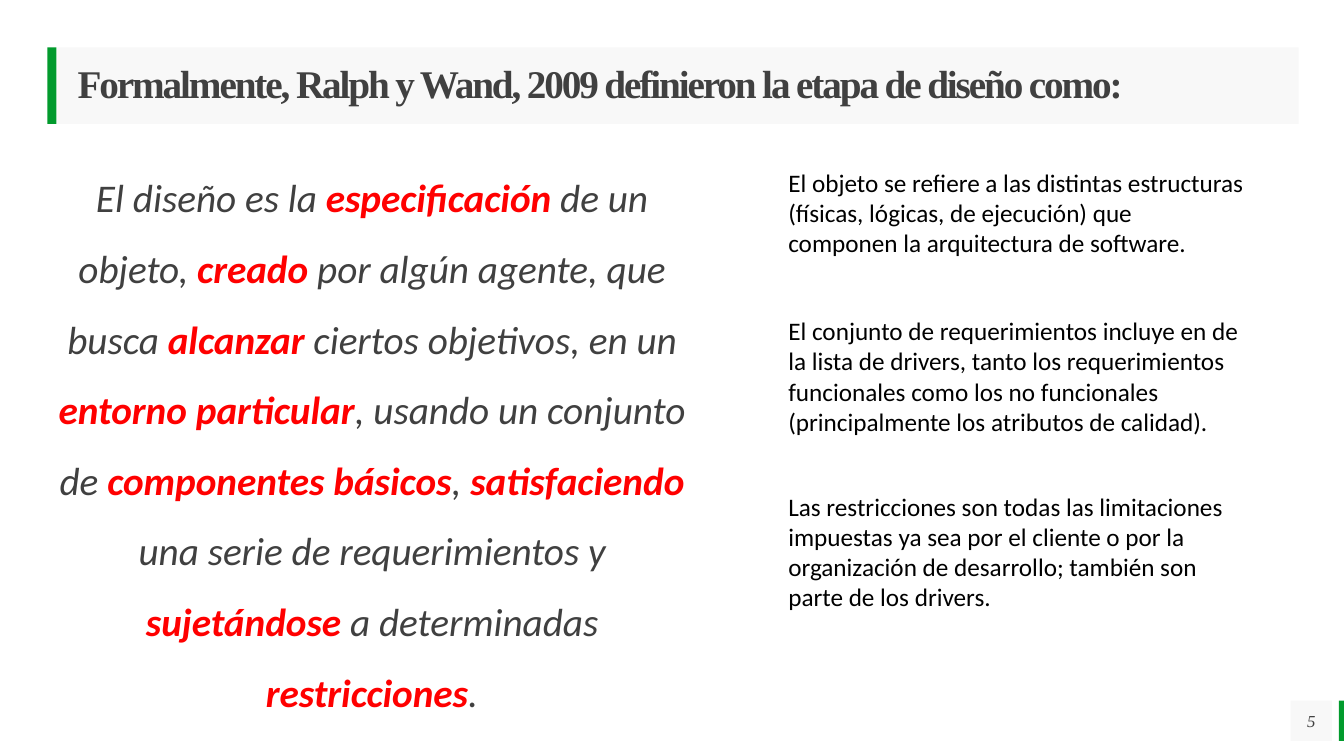
from lxml import etree
from pptx import Presentation
from pptx.dml.color import RGBColor
from pptx.enum.shapes import MSO_SHAPE
from pptx.enum.text import MSO_ANCHOR, PP_ALIGN
from pptx.oxml.ns import qn
from pptx.util import Inches, Pt

GREEN = RGBColor(0x02, 0x9B, 0x2D)
PALE_GRAY = RGBColor(0xF2, 0xF2, 0xF2)
DARK_GRAY = RGBColor(0x40, 0x40, 0x40)
RED = RGBColor(0xFF, 0x00, 0x00)
BLACK = RGBColor(0x00, 0x00, 0x00)

presentation = Presentation()
presentation.slide_width = Inches(13.33)
presentation.slide_height = Inches(7.5)
slide = presentation.slides.add_slide(presentation.slide_layouts[6])


def add_rectangle(left, top, width, height, color, opacity=100):
    shape = slide.shapes.add_shape(
        MSO_SHAPE.RECTANGLE, Inches(left), Inches(top), Inches(width), Inches(height))
    shape.shadow.inherit = False
    shape.line.fill.background()
    shape.fill.solid()
    shape.fill.fore_color.rgb = color
    if opacity < 100:
        color_element = shape.fill._xPr.find(qn("a:solidFill"))[0]
        etree.SubElement(color_element, qn("a:alpha"), val=str(opacity * 1000))
    text_frame = shape.text_frame
    text_frame.word_wrap = True
    text_frame.vertical_anchor = MSO_ANCHOR.MIDDLE
    text_frame.margin_left = text_frame.margin_right = 0
    text_frame.margin_top = text_frame.margin_bottom = 0
    return shape


def style_font(font, name, size, color, bold=False, italic=False):
    font.name = name
    font.size = Pt(size)
    font.color.rgb = color
    font.bold = bold
    font.italic = italic


# Green accents
add_rectangle(13.28, 6.95, 0.05, 0.4, GREEN)
add_rectangle(0.47, 0.47, 0.09, 0.76, GREEN)

# Title bar
title = add_rectangle(0.57, 0.47, 12.31, 0.76, PALE_GRAY, 50)
title.text_frame.margin_left = Inches(0.2)
title.text_frame.text = "Formalmente, Ralph y Wand, 2009 definieron la etapa de diseño como:"
paragraph = title.text_frame.paragraphs[0]
paragraph.alignment = PP_ALIGN.LEFT
paragraph.line_spacing = 0.9
title_font = paragraph.runs[0].font
style_font(title_font, "Times New Roman", 28, DARK_GRAY, bold=True)
title_font._element.set("spc", "-150")

# Definition, with every second piece highlighted
definition_pieces = [
    "El diseño es la ", "especiﬁcación", " de un objeto, ", "creado",
    " por algún agente, que busca ", "alcanzar", " ciertos objetivos, en un ",
    "entorno particular", ", usando un conjunto de ", "componentes básicos", ", ",
    "satisfaciendo", " una serie de requerimientos y ", "sujetándose",
    " a determinadas ", "restricciones", ".",
]
definition = slide.shapes.add_textbox(Inches(0.47), Inches(1.49), Inches(6.44), Inches(5.2))
text_frame = definition.text_frame
text_frame.word_wrap = True
text_frame.margin_left = text_frame.margin_right = 0
text_frame.margin_top = text_frame.margin_bottom = 0
paragraph = text_frame.paragraphs[0]
paragraph.alignment = PP_ALIGN.CENTER
paragraph.line_spacing = 1.5
for index, piece in enumerate(definition_pieces):
    highlighted = index % 2 == 1
    run = paragraph.add_run()
    run.text = piece
    style_font(run.font, "Calibri", 28, RED if highlighted else DARK_GRAY,
               bold=highlighted, italic=True)

# Page number
page_number = add_rectangle(12.8, 6.95, 0.41, 0.4, PALE_GRAY, 50)
page_number.text_frame.text = "5"
paragraph = page_number.text_frame.paragraphs[0]
paragraph.alignment = PP_ALIGN.CENTER
style_font(paragraph.runs[0].font, "Times New Roman", 12, DARK_GRAY, italic=True)

# Explanatory notes: top, width, height, text
notes = [
    (1.61, 4.72, 1.01,
     "El objeto se refiere a las distintas estructuras (físicas, lógicas, de ejecución) "
     "que componen la arquitectura de software."),
    (3.08, 4.88, 1.31,
     "El conjunto de requerimientos incluye en de la lista de drivers, tanto los "
     "requerimientos funcionales como los no funcionales (principalmente los atributos "
     "de calidad)."),
    (4.82, 4.72, 1.31,
     "Las restricciones son todas las limitaciones impuestas ya sea por el cliente o por "
     "la organización de desarrollo; también son parte de los drivers."),
]
for top, width, height, text in notes:
    note = slide.shapes.add_textbox(Inches(7.72), Inches(top), Inches(width), Inches(height))
    note.text_frame.word_wrap = True
    note.text_frame.text = text
    style_font(note.text_frame.paragraphs[0].runs[0].font, "Calibri", 18, BLACK)

presentation.save("out.pptx")
